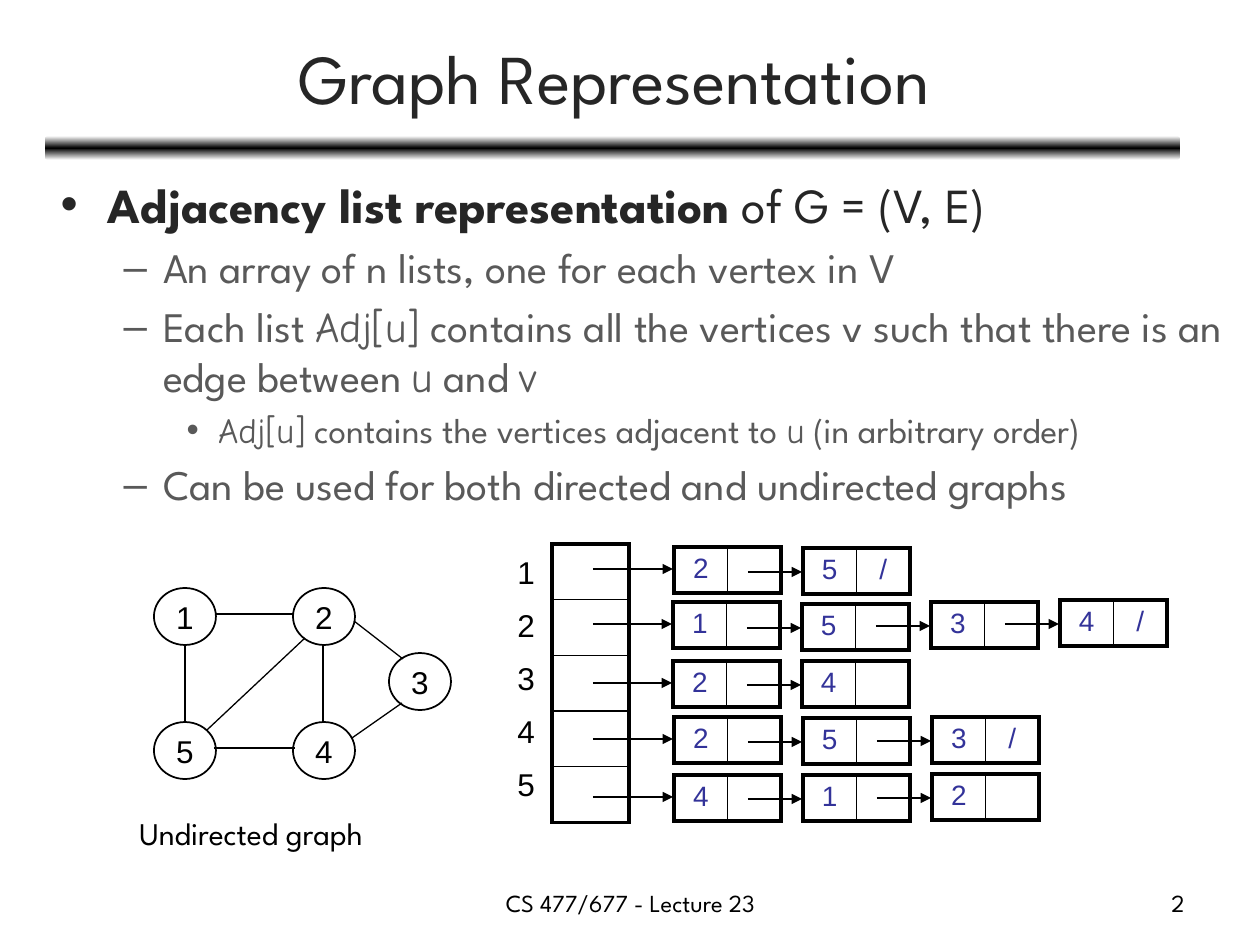
from copy import deepcopy
from pptx import Presentation
from pptx.dml.color import RGBColor
from pptx.enum.shapes import MSO_CONNECTOR, MSO_SHAPE
from pptx.enum.text import MSO_ANCHOR, MSO_AUTO_SIZE, PP_ALIGN
from pptx.oxml.ns import qn
from pptx.util import Emu, Pt
from lxml import etree

LEFT, MID, RIGHT = PP_ALIGN.LEFT, PP_ALIGN.CENTER, PP_ALIGN.RIGHT
MAIN, HAND, SANS = "League Spartan", "Comic Neue", "Arial"
DARK, GREY, BLACK, BLUE = "262626", "595959", "000000", "333399"

# Content: level, size, colour, runs (b = bold, h = hand font)
TITLE = "Graph Representation"
POINTS = [
    (0, 28, DARK, [("Adjacency list representation", "b"), (" of G = (V, E)", "")]),
    (1, 24, GREY, [("An array of n lists, one for each vertex in V", "")]),
    (1, 24, GREY, [("Each list ", ""), ("Adj[u]", "h"),
                   (" contains all the vertices v such that there is an edge between ", ""),
                   ("u", "h"), (" and ", ""), ("v", "h")]),
    (2, 20, GREY, [("Adj[u]", "h"), (" contains the vertices adjacent to ", ""),
                   ("u", "h"), (" (in arbitrary order)", "")]),
    (1, 24, GREY, [("Can be used for both directed and undirected graphs", "")]),
]
NODES = {"1": (154, 588), "2": (293, 588), "5": (154, 722),
         "4": (293, 722), "3": (389, 653)}
EDGES = [(215, 614, 293, 614), (323, 645, 323, 722), (185, 722, 185, 644),
         (305, 638, 207, 730), (214, 748, 295, 748), (354, 621, 403, 659),
         (352, 738, 402, 703)]
# Linked lists: left of the first link, then (vertex, end mark, top)
LISTS = [
    (674, [("2", "", 547), ("5", "/", 548)]),
    (673, [("1", "", 602), ("5", "", 604), ("3", "", 602), ("4", "/", 600)]),
    (673, [("2", "", 661), ("4", "", 661)]),
    (674, [("2", "", 717), ("5", "", 718), ("3", "/", 717)]),
    (674, [("4", "", 775), ("1", "", 775), ("2", "", 774)]),
]
# Text, box, size, alignment
NOTES = [("Undirected graph", (127, 808, 301, 50), 18, LEFT),
         ("CS 477/677 - Lecture 23", (431, 882, 399, 44), 14, MID),
         ("2", (903, 882, 294, 44), 14, RIGHT)]
STEP, CELL, HIGH = 129, 53.5, 46


def px(n):
    return Emu(round(n * 914400 / 126))


def box(*sides):
    return [px(n) for n in sides]


def rgb(code):
    return RGBColor.from_string(code)


def style(para, size, face, tint, align=None):
    font = para.font
    font.size, font.name, font.color.rgb = Pt(size), face, rgb(tint)
    if align is not None:
        para.alignment = align


def place(shape, *sides):
    shape.left, shape.top, shape.width, shape.height = box(*sides)


def label(text, sides, size, face, align=LEFT):
    frame = shapes.add_textbox(*box(*sides)).text_frame
    frame.word_wrap = True
    frame.text = text
    style(frame.paragraphs[0], size, face, BLACK, align)


def line(x1, y1, x2, y2, head=False):
    link = shapes.add_connector(MSO_CONNECTOR.STRAIGHT, *box(x1, y1, x2, y2))
    link.line.width, link.line.color.rgb = Pt(0.75), rgb(BLACK)
    if head:
        etree.SubElement(link.line._ln, qn("a:tailEnd"), type="triangle")
    etree.SubElement(link._element.spPr, qn("a:effectLst"))


def border(cell, sides):
    props = cell._tc.get_or_add_tcPr()
    for side, width in zip("LRTB", sides):
        ln = etree.SubElement(props, qn("a:ln" + side), w=str(Pt(width)))
        fill = etree.SubElement(ln, qn("a:solidFill"))
        etree.SubElement(fill, qn("a:srgbClr"), val=BLACK)


def grid(rows, x, y, wide, high):
    down, across = len(rows), len(rows[0])
    table = shapes.add_table(down, across,
                             *box(x, y, wide * across, high * down)).table
    table.first_row = table.horz_banding = False
    for r, row in enumerate(rows):
        for c, text in enumerate(row):
            cell = table.cell(r, c)
            ends = (c == 0, c == across - 1, r == 0, r == down - 1)
            border(cell, [2.25 if end else 1 for end in ends])
            cell.fill.background()
            cell.margin_bottom = 0
            cell.text = text
            style(cell.text_frame.paragraphs[0], 16, SANS, BLUE, MID)


deck = Presentation()
deck.slide_width, deck.slide_height = box(1260, 945)
slide = deck.slides.add_slide(deck.slide_layouts[1])
shapes = slide.shapes

# Title and bar
title, body = slide.placeholders
place(title, 47, 14, 1134, 125)
title.text_frame.text = TITLE
style(title.text_frame.paragraphs[0], 40, MAIN, DARK, MID)

bar = shapes.add_shape(MSO_SHAPE.ROUNDED_RECTANGLE, *box(45, 136, 1135, 24))
bar.shadow.inherit = False
bar.line.fill.background()
bar.fill.gradient()
stops = bar._element.spPr.find(qn("a:gradFill")).find(qn("a:gsLst"))
stops.insert(1, deepcopy(stops[0]))
for stop, spot, tint in zip(bar.fill.gradient_stops, (0, 0.5, 1),
                            ("FFFFFF", BLACK, "FFFFFF")):
    stop.position, stop.color.rgb = spot, rgb(tint)
bar.fill.gradient_angle = 90

# Bullet list
place(body, 48, 168, 1231, 379)
frame = body.text_frame
frame.auto_size = MSO_AUTO_SIZE.NONE
for i, (level, size, tint, runs) in enumerate(POINTS):
    para = frame.add_paragraph() if i else frame.paragraphs[0]
    para.level = level
    style(para, size, MAIN, tint)
    for text, mark in runs:
        run = para.add_run()
        run.text = text
        if mark == "b":
            run.font.bold = True
        elif mark == "h":
            run.font.name = HAND

# Graph
for name, (x, y) in NODES.items():
    node = shapes.add_shape(MSO_SHAPE.OVAL, *box(x, y, 62, 57))
    node.shadow.inherit = False
    node.fill.background()
    node.line.width, node.line.color.rgb = Pt(1), rgb(BLACK)
    frame = node.text_frame
    frame.word_wrap, frame.vertical_anchor = False, MSO_ANCHOR.MIDDLE
    frame.text = name
    style(frame.paragraphs[0], 18, SANS, BLACK, MID)
for edge in EDGES:
    line(*edge)

# Array and linked lists
grid([[""]] * len(LISTS), 552, 544, 77, 55.7)
for i, (left, links) in enumerate(LISTS):
    label(str(i + 1), (505, 547 + 53 * i, 43, 50), 18, SANS)
    for j, (name, end, top) in enumerate(links):
        x = left + STEP * j
        grid([[name, end]], x, top, CELL, HIGH)
        if j:
            line(x - 55, top + 24, x - 1, top + 24, True)
        else:
            line(593, top + 22, x - 1, top + 22, True)

# Caption and footer
for text, sides, size, align in NOTES:
    label(text, sides, size, MAIN, align)

deck.save("out.pptx")
